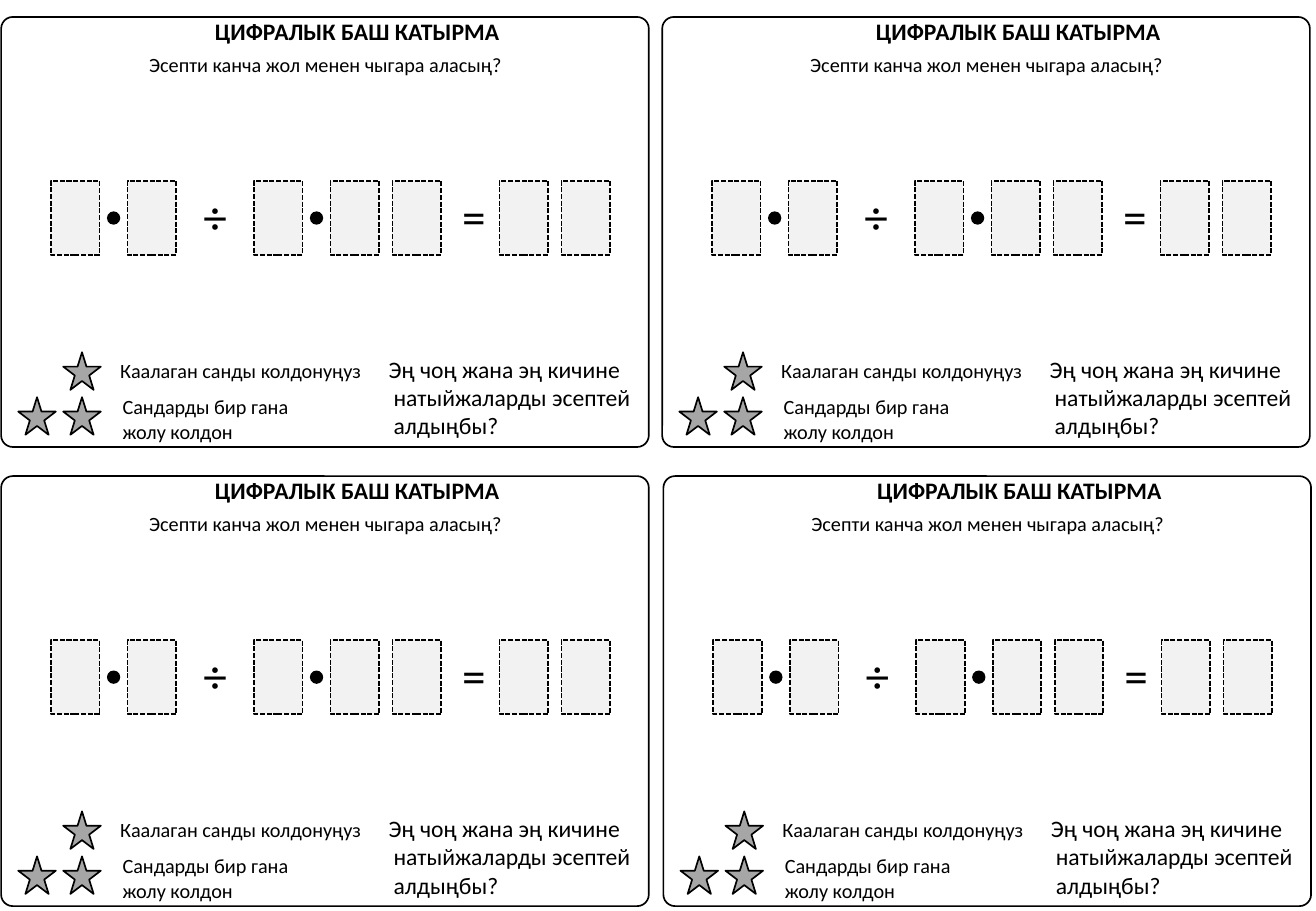
from pptx import Presentation
from pptx.dml.color import RGBColor
from pptx.enum.dml import MSO_LINE
from pptx.enum.shapes import MSO_SHAPE
from pptx.enum.text import MSO_AUTO_SIZE, PP_ALIGN
from pptx.util import Emu, Pt

ROUND = MSO_SHAPE.ROUNDED_RECTANGLE
RECT = MSO_SHAPE.RECTANGLE
OVAL = MSO_SHAPE.OVAL
STAR = MSO_SHAPE.STAR_5_POINT
DASH = MSO_LINE.SQUARE_DOT
GROW = MSO_AUTO_SIZE.SHAPE_TO_FIT_TEXT
LEFT, CENTER = PP_ALIGN.LEFT, PP_ALIGN.CENTER

SCALE = 9144  # 100 px to the inch
BLACK, PALE, GREY = "000000", "F2F2F2", "A6A6A6"
CARDS = [(0, 0), (544, 0), (0, 378), (545, 378)]
BOXES = [42, 105, 209, 272, 323, 411, 462]
DOTS = [88, 255]
SIGNS = [("÷", 157), ("=", 370)]
STARS = [(52, 290), (52, 327), (15, 327)]


def px(n):
    return Emu(n * SCALE)


def color(code):
    return RGBColor.from_string(code)


class Sheet:
    """Draws on one slide, relative to the corner of the current card."""

    font = "Calibri"

    def __init__(self, slide):
        self.shapes = slide.shapes
        self.x = self.y = 0

    def place(self, x, y, w, h):
        return px(self.x + x), px(self.y + y), px(w), px(h)

    def shape(self, kind, x, y, w, h, fill=None, line=BLACK, dash=None):
        item = self.shapes.add_shape(kind, *self.place(x, y, w, h))
        item.shadow.inherit = False
        if fill:
            item.fill.solid()
            item.fill.fore_color.rgb = color(fill)
        else:
            item.fill.background()
        if line:
            item.line.color.rgb = color(line)
            item.line.width = Pt(1)
            if dash:
                item.line.dash_style = dash
        else:
            item.line.fill.background()
        return item

    def text(self, lines, x, y, w, h, size=12, bold=False, align=LEFT,
             wrap=False, inset=5, hang=0):
        """Hang indents every line after the first."""
        frame = self.shapes.add_textbox(*self.place(x, y, w, h)).text_frame
        frame.word_wrap = wrap
        frame.auto_size = GROW
        frame.margin_top = frame.margin_bottom = px(inset)
        frame.text = "\n".join(lines)
        for i, para in enumerate(frame.paragraphs):
            if i and hang:
                para._p.get_or_add_pPr().set("marL", str(px(hang)))
            para.alignment = align
            para.font.name = self.font
            para.font.size = Pt(size)
            para.font.bold = bold
            para.font.color.rgb = color(BLACK)

    def card(self, x, y):
        self.x, self.y = x, y
        edge = self.shape(ROUND, 1, 14, 533, 354)
        edge.adjustments[0] = 0.027
        self.text(["ЦИФРАЛЫК БАШ КАТЫРМА"], 167, 14, 256, 24,
                  size=14, bold=True, inset=0)
        self.text(["Эсепти канча жол менен чыгара аласың?"],
                  111, 38, 314, 30, align=CENTER)
        for sign, left in SIGNS:
            self.text([sign], left, 149, 40, 57, size=28, align=CENTER)
        for left in BOXES:
            self.shape(RECT, left, 149, 40, 61, PALE, dash=DASH)
        for left in DOTS:
            self.shape(OVAL, left, 174, 11, 11, BLACK, line=None)
        for left, top in STARS:
            self.shape(STAR, left, top, 31, 31, GREY)
        self.text(["Каалаган санды колдонуңуз"], 89, 290, 221, 30)
        self.text(["Сандарды бир гана", "жолу колдон"], 91, 320, 162, 50)
        self.text(["Эң чоң жана эң кичине", "натыйжаларды эсептей", "алдыңбы?"],
                  310, 287, 428, 104, size=14, wrap=True, hang=4)


def main():
    deck = Presentation()
    deck.slide_width, deck.slide_height = px(1083), px(750)
    sheet = Sheet(deck.slides.add_slide(deck.slide_layouts[6]))
    for x, y in CARDS:
        sheet.card(x, y)
    deck.save("out.pptx")


if __name__ == "__main__":
    main()
